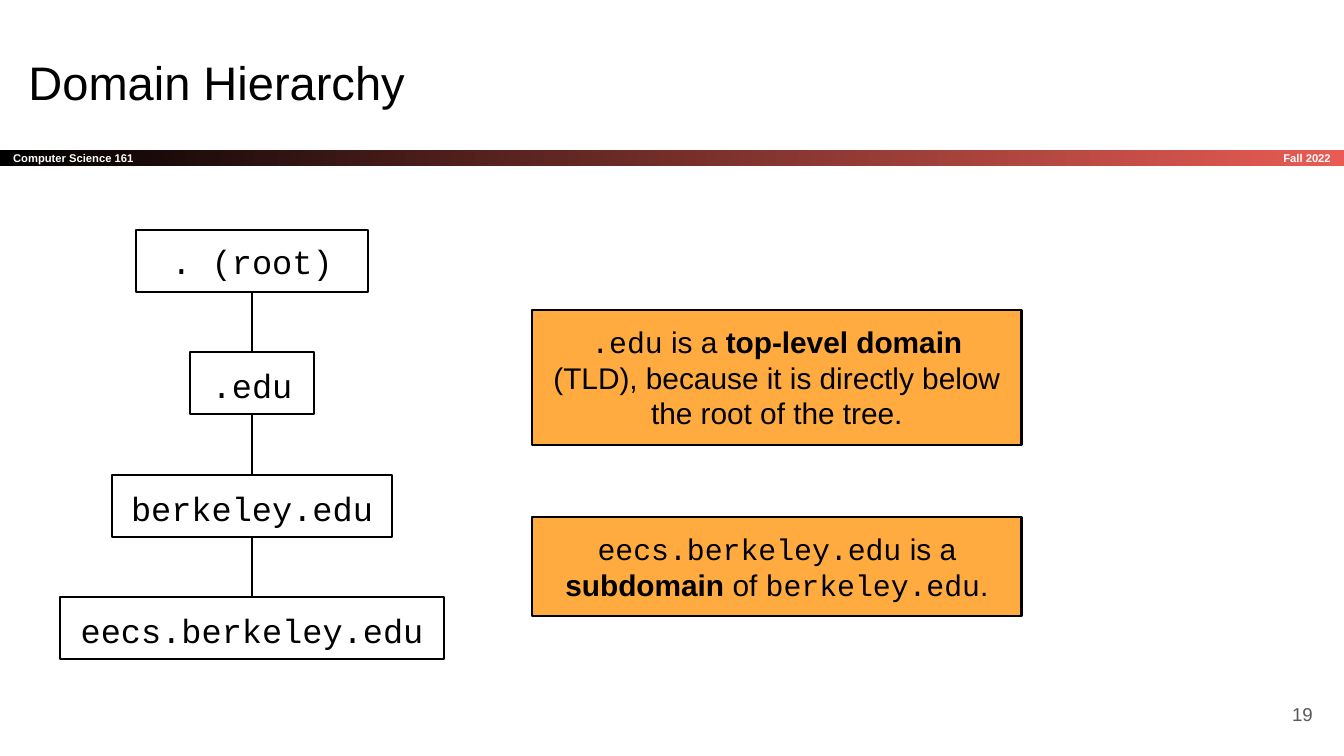
from lxml import etree
from pptx import Presentation, util as u
from pptx.dml.color import RGBColor
from pptx.enum import shapes, text
from pptx.oxml.ns import qn

BLACK = RGBColor(0x00, 0x00, 0x00)
WHITE = RGBColor(0xFF, 0xFF, 0xFF)
GRAY = RGBColor(0x59, 0x59, 0x59)
CORAL = RGBColor(0xE8, 0x5C, 0x54)
ORANGE = RGBColor(0xFF, 0xAB, 0x40)
SANS, MONO = "Arial", "Courier New"
LEFT, CENTER, RIGHT = text.PP_ALIGN.LEFT, text.PP_ALIGN.CENTER, text.PP_ALIGN.RIGHT
TOP, MIDDLE = text.MSO_ANCHOR.TOP, text.MSO_ANCHOR.MIDDLE
EMU_PER_PX = u.Inches(10) / 1344


def px(*lengths):
    return [round(length * EMU_PER_PX) for length in lengths]


class SlideBuilder:
    """Holds the deck style and the slide being filled."""

    def __init__(self, page):
        self.page = page

    def set_text(self, shape, content, size, font=SANS, color=BLACK, bold=False,
                 align=LEFT, anchor=TOP):
        """Fill one paragraph; content is a string or (text, font, bold) spans."""
        frame = shape.text_frame
        frame.word_wrap = True
        frame.auto_size = text.MSO_AUTO_SIZE.NONE
        frame.vertical_anchor = anchor
        frame.margin_left = frame.margin_right = u.Inches(0.1)
        frame.margin_top = frame.margin_bottom = u.Inches(0.1)
        para = frame.paragraphs[0]
        para.alignment = align
        para.font.size = u.Pt(size)
        para.font.color.rgb = color
        if isinstance(content, str):
            para.text = content
            para.font.name, para.font.bold = font, bold
            return
        for words, span_font, span_bold in content:
            span = para.add_run()
            span.text = words
            span.font.name, span.font.bold = span_font, span_bold

    def title(self, content):
        title = self.page.shapes.title
        title.left, title.top, title.width, title.height = px(15, 40, 1253, 85)
        self.set_text(title, content, 25.2)

    def label(self, bounds, content, size, **style):
        box = self.page.shapes.add_textbox(*px(*bounds))
        self.set_text(box, content, size, anchor=MIDDLE, **style)

    def rectangle(self, bounds):
        box = self.page.shapes.add_shape(shapes.MSO_SHAPE.RECTANGLE, *px(*bounds))
        box.shadow.inherit = False
        return box

    def band(self, bounds, content):
        band = self.rectangle(bounds)
        band.line.fill.background()
        band.fill.gradient()
        band.fill.gradient_angle = 0
        for stop, color in zip(band.fill.gradient_stops, (BLACK, CORAL)):
            stop.color.rgb = color
        self.set_text(band, content, 6, color=WHITE, bold=True, anchor=MIDDLE)

    def domain(self, bounds, name, anchor):
        box = self.rectangle(bounds)
        box.fill.background()
        box.line.color.rgb, box.line.width = BLACK, u.Pt(0.75)
        self.set_text(box, name, 18, font=MONO, align=CENTER, anchor=anchor)

    def callout(self, bounds, spans):
        box = self.rectangle(bounds)
        box.fill.solid()
        box.fill.fore_color.rgb = ORANGE
        box.line.color.rgb, box.line.width = BLACK, u.Pt(1.5)
        self.set_text(box, spans, 16, align=CENTER)

    def link(self, x, top, bottom):
        line = self.page.shapes.add_connector(
            shapes.MSO_CONNECTOR.STRAIGHT, *px(x, top, x, bottom))
        line.line.color.rgb, line.line.width = BLACK, u.Pt(0.75)
        etree.SubElement(line._element.spPr, qn("a:effectLst"))


def main():
    deck = Presentation()
    deck.slide_width, deck.slide_height = px(1344, 756)
    slide = SlideBuilder(deck.slides.add_slide(deck.slide_layouts[5]))

    slide.band((0, 150, 1344, 16), "Computer Science 161")
    slide.label((1121, 150, 223, 16), "Fall 2022", 6,
                color=WHITE, bold=True, align=RIGHT)
    slide.title("Domain Hierarchy")
    slide.label((1245, 685, 81, 58), "19", 10, color=GRAY, align=RIGHT)

    axis, height = 252, 62
    domains = [(". (root)", 232), (".edu", 124),
               ("berkeley.edu", 280), ("eecs.berkeley.edu", 384)]
    tops = [230 + 245 * level // 2 for level in range(len(domains))]
    for (name, width), top in zip(domains, tops):
        slide.domain((axis - width // 2, top, width, height), name,
                     MIDDLE if top == tops[0] else TOP)
    for upper, lower in zip(tops, tops[1:]):
        slide.link(axis, upper + height, lower)

    slide.callout((532, 517, 490, 99), [
        ("eecs.berkeley.edu", MONO, False), (" is a ", SANS, False),
        ("subdomain", SANS, True), (" of ", SANS, False),
        ("berkeley.edu", MONO, False), (".", SANS, False)])
    slide.callout((532, 310, 490, 135), [
        (".edu", MONO, False), (" is a ", SANS, False),
        ("top-level domain", SANS, True),
        (" (TLD), because it is directly below the root of the tree.", SANS, False)])

    deck.save("out.pptx")


if __name__ == "__main__":
    main()
